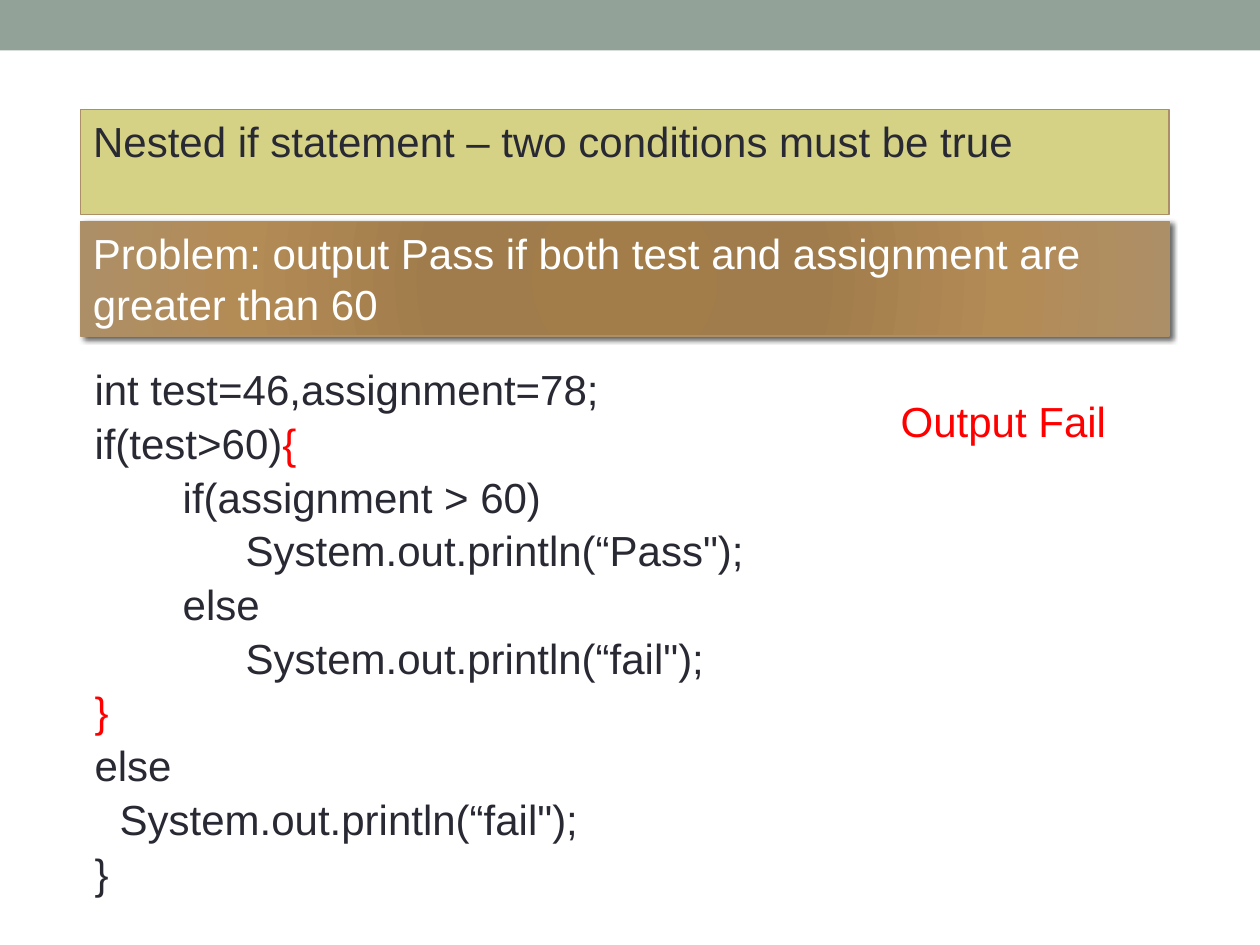
from lxml.etree import SubElement
from pptx import Presentation
from pptx.dml.color import RGBColor
from pptx.enum.shapes import MSO_SHAPE
from pptx.enum.text import MSO_ANCHOR, MSO_AUTO_SIZE, PP_ALIGN
from pptx.oxml import parse_xml
from pptx.oxml.ns import nsdecls, qn
from pptx.util import Pt

INK, RED, WHITE = "292934", "FF0000", "FFFFFF"
BAND, OLIVE, TAN = "93A299", "D5D286", "AD8F67"
BROWN_STOPS = [(0, "A37D49"), (34, "A07C4C"), (70, "B38B55"), (100, TAN)]

CODE = [
    [("int test=46,assignment=78;", INK)],
    [("if(test>60)", INK), ("{", RED)],
    [("\t\tif(assignment > 60)", INK)],
    [("\t\t\tSystem.out.println(“Pass\");", INK)],
    [("\t\telse", INK)],
    [("\t\t\tSystem.out.println(“fail\");", INK)],
    [("}", RED)],
    [("else", INK)],
    [("\tSystem.out.println(“fail\");", INK)],
    [("}", INK)],
]


def rgb(value):
    return RGBColor.from_string(value)


def write(para, text, color=INK, size=24, font="Arial", align=PP_ALIGN.LEFT):
    para.alignment = align
    span = para.add_run()
    span.text = text
    span.font.name = font
    span.font.size = Pt(size)
    span.font.color.rgb = rgb(color)


def place(shape, box):
    shape.left, shape.top, shape.width, shape.height = (Pt(n) for n in box)


def prepare(frame, anchor=MSO_ANCHOR.TOP, fit=MSO_AUTO_SIZE.SHAPE_TO_FIT_TEXT):
    frame.word_wrap = True
    frame.auto_size = fit
    frame.vertical_anchor = anchor
    return frame


def add_rectangle(page, box, fill, line=None):
    shape = page.shapes.add_shape(MSO_SHAPE.RECTANGLE, *(Pt(n) for n in box))
    shape.shadow.inherit = False
    paint(shape, fill, line)
    return shape


def paint(shape, fill, line=None):
    shape.fill.solid()
    shape.fill.fore_color.rgb = rgb(fill)
    if line:
        shape.line.color.rgb = rgb(line)
        shape.line.width = Pt(0.75)
    else:
        shape.line.fill.background()


def set_radial_gradient(shape, stops):
    marks = "".join(
        f'<a:gs pos="{position * 1000}"><a:srgbClr val="{color}"/></a:gs>'
        for position, color in stops
    )
    gradient = parse_xml(
        f'<a:gradFill {nsdecls("a")} rotWithShape="1"><a:gsLst>{marks}</a:gsLst>'
        '<a:path path="circle"><a:fillToRect l="100000" t="100000" '
        'r="100000" b="100000"/></a:path></a:gradFill>'
    )
    properties = shape._element.spPr
    properties.replace(properties.find(qn("a:solidFill")), gradient)


def set_shadow(shape, blur, distance, angle, opacity):
    effects = shape._element.spPr.find(qn("a:effectLst"))
    shadow = SubElement(
        effects, qn("a:outerShdw"), blurRad=str(Pt(blur)), dist=str(Pt(distance)),
        dir=str(angle * 60000), algn="ctr", rotWithShape="0",
    )
    color = SubElement(shadow, qn("a:srgbClr"), val="000000")
    SubElement(color, qn("a:alpha"), val=str(opacity * 1000))


def add_heading(page, box):
    title = page.shapes.title
    place(title, box)
    paint(title, OLIVE, TAN)
    frame = prepare(title.text_frame)
    write(frame.paragraphs[0], "Nested if statement – two conditions must be true")


def add_problem(page, box):
    panel = add_rectangle(page, box, TAN, TAN)
    set_radial_gradient(panel, BROWN_STOPS)
    set_shadow(panel, blur=3, distance=2, angle=45, opacity=60)
    frame = prepare(panel.text_frame)
    write(frame.paragraphs[0],
          "Problem: output Pass if both test and assignment are greater than 60",
          color=WHITE)


def add_code(page, box):
    body = page.placeholders[1]
    place(body, box)
    frame = prepare(body.text_frame, fit=MSO_AUTO_SIZE.NONE)
    for number, line in enumerate(CODE):
        para = frame.add_paragraph() if number else frame.paragraphs[0]
        para.line_spacing = 0.9
        for text, color in line:
            write(para, text, color=color)
        # Hanging indent without a bullet
        properties = para._p.get_or_add_pPr()
        properties.set("marL", str(Pt(14.4)))
        properties.set("indent", str(Pt(-14.4)))
        SubElement(properties, qn("a:buNone"))


def add_output(page, box):
    note = page.shapes.add_textbox(*(Pt(n) for n in box))
    write(prepare(note.text_frame).paragraphs[0], "Output Fail", color=RED)


def main():
    deck = Presentation()
    deck.slide_width, deck.slide_height = Pt(720), Pt(540)
    page = deck.slides.add_slide(deck.slide_layouts[1])

    # Top band
    add_rectangle(page, (0, 0, 720, 28.8), BAND)
    # Heading and problem share one column
    left, width = 46, 622
    add_heading(page, (left, 62.5, width, 36))
    add_problem(page, (left, 126.5, width, 65.5))
    # Program and its result
    add_code(page, (46.8, 207.4, 630, 286.6))
    add_output(page, (507.6, 222.5, 193, 36))

    deck.save("out.pptx")


if __name__ == "__main__":
    main()
